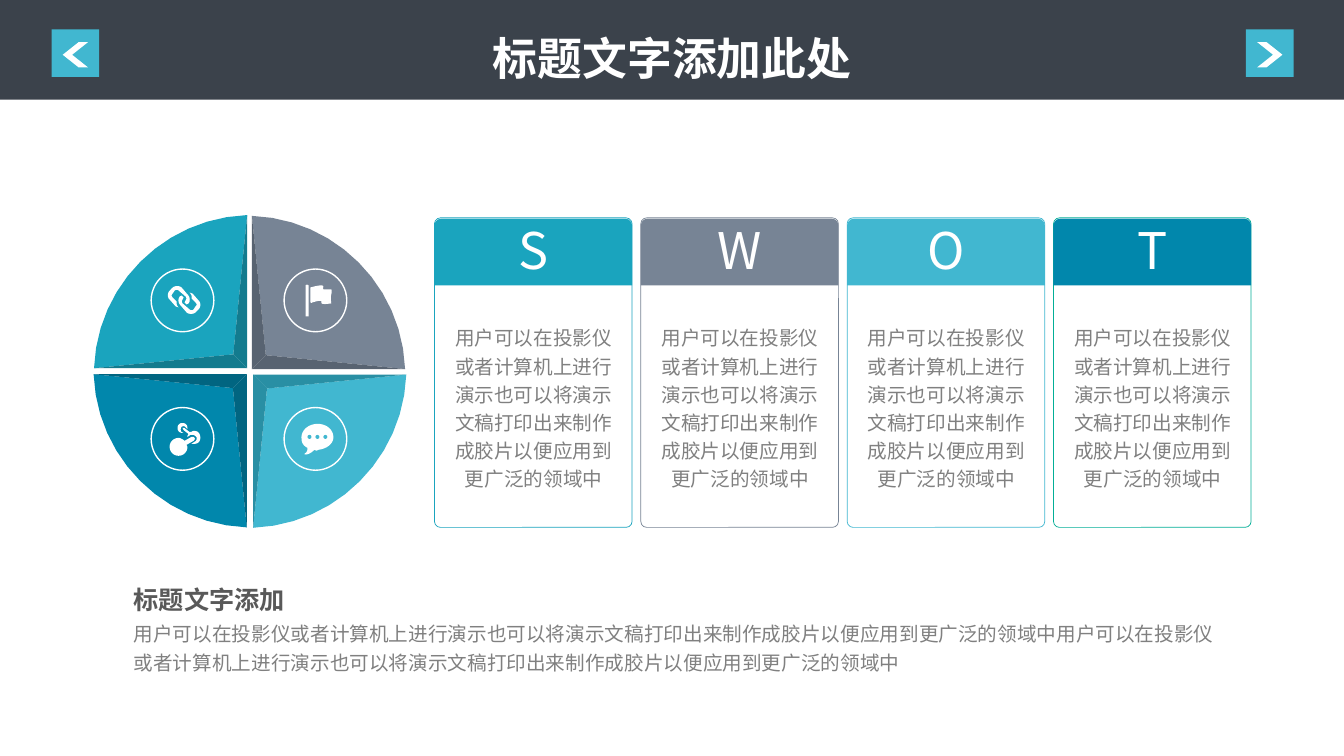
"""Build a SWOT slide with a four-part wheel, four cards and a summary."""
from pptx import Presentation
from pptx.dml.color import RGBColor
from pptx.enum.shapes import MSO_SHAPE
from pptx.enum.text import MSO_ANCHOR, MSO_AUTO_SIZE, PP_ALIGN
from pptx.util import Cm, Pt

RECTANGLE = MSO_SHAPE.RECTANGLE
OVAL = MSO_SHAPE.OVAL
CHEVRON = MSO_SHAPE.CHEVRON
CARD = MSO_SHAPE.ROUNDED_RECTANGLE
CARD_HEADER = MSO_SHAPE.ROUND_2_SAME_RECTANGLE
TOP, MIDDLE = MSO_ANCHOR.TOP, MSO_ANCHOR.MIDDLE
LEFT, CENTER = PP_ALIGN.LEFT, PP_ALIGN.CENTER
NO_FIT = MSO_AUTO_SIZE.NONE

COLORS = {
    "white": "FFFFFF", "banner": "3B424B", "heading": "595959", "body": "808080",
    "teal": "1AA4BE", "teal_dark": "137B8E", "slate": "778495", "slate_dark": "586371",
    "sky": "41B7D0", "sky_dark": "298FA4", "blue": "0187AC", "blue_dark": "016581",
    "green": "03AE97",
}
SENTENCE = "用户可以在投影仪或者计算机上进行演示也可以将演示文稿打印出来制作成胶片以便应用到更广泛的领域中"
ICON_UNITS_PER_CM = 40
CURVE_STEPS = 12

deck = Presentation()
deck.slide_width, deck.slide_height = Cm(33.87), Cm(19.05)
page = deck.slides.add_slide(deck.slide_layouts[5])


def paint(shape, fill=None, line=None, line_width=1):
    """Set fill and outline by colour name, without shadow."""
    shape.shadow.inherit = False
    if fill:
        shape.fill.solid()
        shape.fill.fore_color.rgb = RGBColor.from_string(COLORS[fill])
    else:
        shape.fill.background()
    if line:
        shape.line.color.rgb = RGBColor.from_string(COLORS[line])
        shape.line.width = Pt(line_width)
    else:
        shape.line.fill.background()


def draw_outline(steps, fill, origin, scale_x, scale_y):
    """Fill a closed outline of points (x, y) and curves (six numbers)."""
    points = [steps[0]]
    for step in steps[1:]:
        if len(step) == 2:
            points.append(step)
            continue
        start_x, start_y = points[-1]
        for index in range(1, CURVE_STEPS + 1):
            t = index / CURVE_STEPS
            a, b, c, d = (1 - t) ** 3, 3 * t * (1 - t) ** 2, 3 * t * t * (1 - t), t ** 3
            points.append((a * start_x + b * step[0] + c * step[2] + d * step[4],
                           a * start_y + b * step[1] + c * step[3] + d * step[5]))
    places = [(Cm(origin[0] + x * scale_x), Cm(origin[1] + y * scale_y)) for x, y in points]
    builder = page.shapes.build_freeform(*places[0])
    builder.add_line_segments(places[1:], close=True)
    paint(builder.convert_to_shape(), fill)


RADIUS, INSET = 3.86, 0.35
SECTOR = [(0, RADIUS), (2.1, 3.78, 3.78, 2.1, RADIUS, 0), (INSET, INSET)]
BEVELS = [[(0, 0), (INSET, INSET), (0, RADIUS)], [(0, 0), (RADIUS, 0), (INSET, INSET)]]
quadrants = [
    (6.35, 9.3, 1, -1, "slate"),
    (6.23, 9.28, -1, -1, "teal"),
    (6.38, 9.44, 1, 1, "sky"),
    (6.22, 9.43, -1, 1, "blue"),
]
for x, y, side_x, side_y, color in quadrants:
    draw_outline(SECTOR, color, (x, y), side_x, side_y)
    for bevel in BEVELS:
        draw_outline(bevel, color + "_dark", (x, y), side_x, side_y)

CHAIN_LINK = [
    (5.5, -7.5), (7.5, -5.5, 8, -3.5, 7.5, -1.5), (11.5, 2.5),
    (13, 4, 13, 5, 11.5, 6.5), (9.5, 9.5), (8.5, 10.5, 6.5, 10.5, 5.5, 9.5),
    (-1.5, 3.5), (-2.5, 2, -2.5, 1, -1.5, -0.5), (-0.5, -2.5), (-2.5, -4.5),
    (-4.5, -3.5), (-5.5, -1.5), (-6, 1, -5.5, 3.5, -3.5, 5.5), (2.5, 12.5),
    (4.5, 14.5, 9.5, 14.5, 11.5, 12.5), (14.5, 9.5),
    (16.5, 7.5, 17, 4, 15.5, 1.5), (8.5, -6.5),
]
FLAG = [
    (16, -11), (16, -11, 11, -11, 9, -11), (7, -11, 8, -13, 8, -14),
    (8, -17, -5, -13, -5, -13), (-5, 2), (-5, 2, -4, 3, -3, 2),
    (1, 1, 7, -1, 6, 2), (5, 5, 16, 3, 16, 3), (16, 3, 15, -3, 16, -6),
    (17, -10, 16, -11, 16, -11),
]
FLAG_POLE = [(-7, -15), (-7, -16, -10, -16, -10, -15), (-10, 16), (-7, 16)]
SPEECH_BUBBLE = [
    (18, -3), (17, -11, 9, -16, 0, -15), (-9, -14, -15, -7, -14, 0),
    (-14, 4, -12, 7, -8, 9), (-8, 11, -8, 13, -11, 15),
    (-12, 16, -7, 17, -1, 11), (0, 12, 2, 12, 3, 11), (12, 10, 19, 4, 18, -3),
]
SMALL_ATOM = [
    (0, -6), (1, -6), (-1, -7), (-2, -8, -2, -11, -1, -12), (0, -13, 2, -13, 3, -12),
    (5, -10), (5, -11), (5, -14, 3, -16, 0, -16), (-3, -16, -5, -14, -5, -11),
    (-5, -8, -3, -6, 0, -6),
]
SIDE_ATOM = [
    (12, -8), (11, -8, 10, -8, 9, -7), (7, -7), (2, -11), (0, -11), (1, -9),
    (6, -5), (5, -3), (5, -2), (8, -4), (10, -4), (12, -4, 13, -3, 14, -2),
    (15, 0, 14, 2, 12, 3), (9, 5), (12, 5), (16, 5, 18, 2, 18, -1),
    (18, -5, 16, -8, 12, -8),
]
LARGE_ATOM = [
    (4, 6), (11, 2), (12, 1, 13, 0, 12, -1), (12, -2, 11, -2, 10, -2), (9, -2),
    (2, 2), (1, 1), (-1, 0, -2, -1, -4, -1), (-9, -1, -13, 3, -13, 8),
    (-13, 13, -9, 17, -4, 17), (1, 17, 5, 13, 5, 8),
]
LEFT_X, RIGHT_X, UPPER_Y, LOWER_Y = 4.6, 7.95, 7.57, 11.06
icons = [
    (CHAIN_LINK, 4.64, 7.56, 1), (CHAIN_LINK, 4.64, 7.56, -1),
    (FLAG, RIGHT_X, UPPER_Y, 1), (FLAG_POLE, RIGHT_X, UPPER_Y, 1),
    (SPEECH_BUBBLE, RIGHT_X, LOWER_Y, 1), (SMALL_ATOM, LEFT_X, LOWER_Y, 1),
    (SIDE_ATOM, LEFT_X, LOWER_Y, 1), (LARGE_ATOM, LEFT_X, LOWER_Y, 1),
]
for outline, x, y, direction in icons:
    scale = direction / ICON_UNITS_PER_CM
    draw_outline(outline, "white", (x, y), scale, scale)
for index in range(3):
    dot = page.shapes.add_shape(OVAL, Cm(7.75 + 0.2 * index), Cm(10.96), Cm(0.1), Cm(0.1))
    paint(dot, "sky")
for x in (LEFT_X, RIGHT_X):
    for y in (UPPER_Y, LOWER_Y):
        ring = page.shapes.add_shape(OVAL, Cm(x - 0.79), Cm(y - 0.79), Cm(1.58), Cm(1.58))
        paint(ring, line="white")

texts = []
cards = [("S", "teal", "teal"), ("W", "slate", "slate"), ("O", "sky", "sky"), ("T", "blue", "green")]
for index, (letter, color, border) in enumerate(cards):
    left = 10.95 + 5.2 * index
    card = page.shapes.add_shape(CARD, Cm(left), Cm(5.49), Cm(4.98), Cm(7.8))
    card.adjustments[0] = 0.03
    paint(card, "white", border, 0.5)
    header = page.shapes.add_shape(CARD_HEADER, Cm(left), Cm(5.51), Cm(4.98), Cm(1.68))
    header.adjustments[0] = 0.1
    paint(header, color)
    caption = page.shapes.add_textbox(Cm(left + 0.1), Cm(7.98), Cm(4.8), Cm(4.57))
    texts.append((header, letter, 36, "white", False, CENTER, 0.9, "Noto Sans CJK SC", MIDDLE))
    texts.append((caption, SENTENCE, 14, "body", False, CENTER, 1.2, "Arial", TOP))

summary = page.shapes.add_textbox(Cm(3.12), Cm(15.44), Cm(27.81), Cm(1.63))
summary_heading = page.shapes.add_textbox(Cm(3.12), Cm(14.45), Cm(6.22), Cm(1.12))
texts.append((summary, SENTENCE * 2, 14, "body", False, LEFT, 1.2, "Arial", TOP))
texts.append((summary_heading, "标题文字添加", 18, "heading", True, LEFT, 1.2, "Arial", TOP))

banner = page.shapes.add_shape(RECTANGLE, 0, 0, deck.slide_width, Cm(2.51))
paint(banner, "banner")
title = page.shapes.title
title.left, title.top, title.width, title.height = Cm(10.26), Cm(0.38), Cm(13.36), Cm(1.9)
title.element.getparent().append(title.element)
texts.append((title, "标题文字添加此处", 32, "white", True, CENTER, 1.2, "Arial", TOP))

for left, turn in ((1.3, 180), (31.4, 0)):
    button = page.shapes.add_shape(RECTANGLE, Cm(left), Cm(0.74), Cm(1.2), Cm(1.2))
    paint(button, "sky")
    arrow = page.shapes.add_shape(CHEVRON, Cm(left + 0.28), Cm(1.06), Cm(0.64), Cm(0.64))
    arrow.adjustments[0] = 0.63
    arrow.rotation = turn
    paint(arrow, "white")

for box, words, size, color, bold, alignment, spacing, font_name, anchor in texts:
    frame = box.text_frame
    frame.text = words
    frame.word_wrap = True
    frame.auto_size = NO_FIT
    frame.vertical_anchor = anchor
    para = frame.paragraphs[0]
    para.alignment = alignment
    para.line_spacing = spacing
    span = para.runs[0]
    span.font.size = Pt(size)
    span.font.bold = bold
    span.font.name = font_name
    span.font.color.rgb = RGBColor.from_string(COLORS[color])

deck.save("out.pptx")
